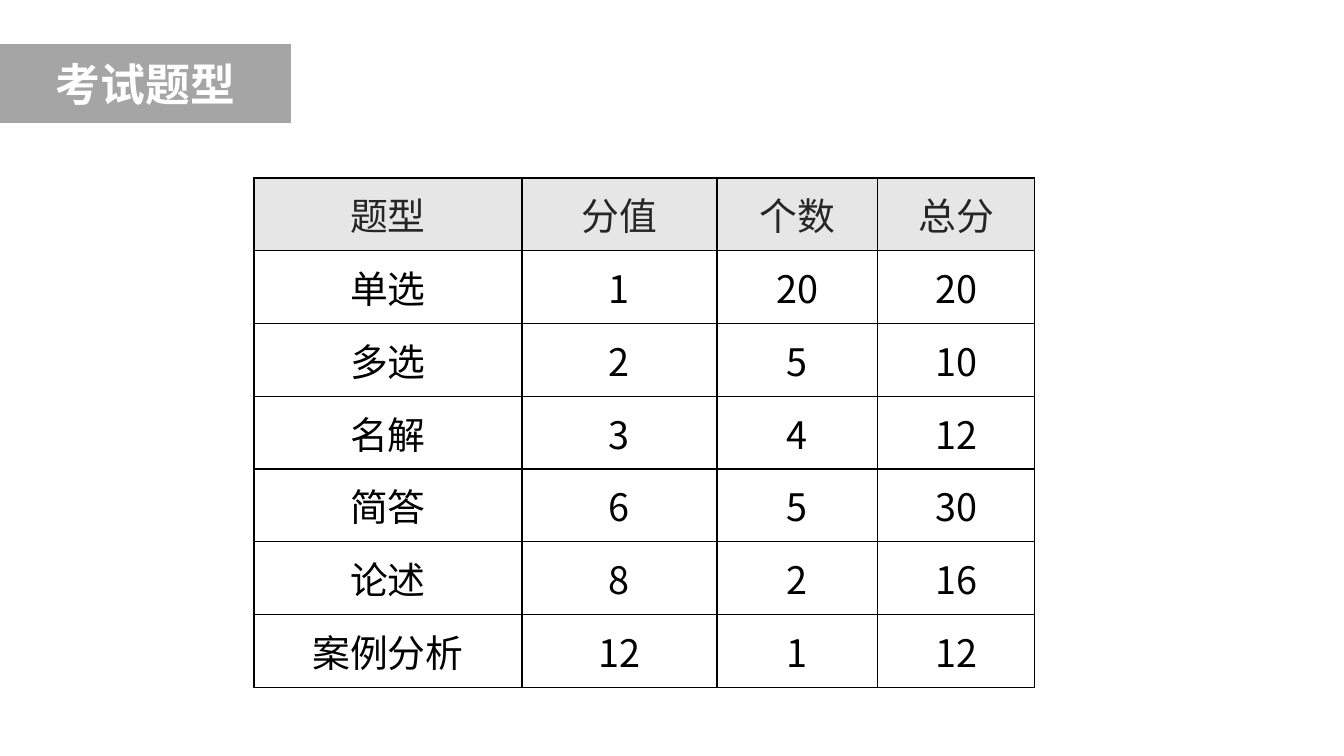
from pptx import Presentation
from pptx.dml.color import RGBColor
from pptx.enum.text import MSO_ANCHOR as Anchor, MSO_AUTO_SIZE as Fit, PP_ALIGN as Align
from pptx.oxml import parse_xml
from pptx.oxml.ns import nsdecls
from pptx.util import Emu, Pt

SCALE = 914400 / 100.8


def px(n):
    return Emu(round(n * SCALE))


def color(code):
    return RGBColor.from_string(code)


def node(tag, attrs="", inner=""):
    return parse_xml(f'<a:{tag} {nsdecls("a")} {attrs}>{inner}</a:{tag}>')


class Deck:
    head_font = "Noto Sans CJK JP"
    body_font = "Noto Sans CJK SC"
    white, black, ink = "FFFFFF", "000000", "262626"
    gray, pale = "A5A5A5", "E7E6E6"

    def __init__(self, wide, high):
        self.prs = Presentation()
        self.prs.slide_width, self.prs.slide_height = px(wide), px(high)
        self.slide = self.prs.slides.add_slide(self.prs.slide_layouts[5])

    def label(self, frame, text, face, size, tint, bold=False):
        para = frame.paragraphs[0]
        para.alignment = Align.CENTER
        run = para.add_run()
        run.text = text
        font = run.font
        font.size, font.bold, font.name = Pt(size), bold, face
        font.color.rgb = color(tint)
        run._r.get_or_add_rPr().find("{*}latin").addnext(node("ea", f'typeface="{face}"'))

    def title(self, text, left, top, width, height):
        box = self.slide.shapes.title
        box.left, box.top, box.width, box.height = map(px, (left, top, width, height))
        # Arrow-shaped outline for the title
        box._element.spPr.append(node("prstGeom", 'prst="homePlate"', "<a:avLst/>"))
        box.fill.solid()
        box.fill.fore_color.rgb = color(self.gray)
        frame = box.text_frame
        frame.word_wrap, frame.auto_size = True, Fit.NONE
        frame.vertical_anchor = Anchor.MIDDLE
        self.label(frame, text, self.head_font, 32, self.white, True)

    def border(self, cell):
        props = cell._tc.get_or_add_tcPr()
        line = f'<a:solidFill><a:srgbClr val="{self.black}"/></a:solidFill>'
        for i, side in enumerate(("lnL", "lnR", "lnT", "lnB")):
            props.insert(i, node(side, f'w="{Pt(1)}"', line))

    def table(self, rows, left, top, widths, high):
        grid = self.slide.shapes.add_table(
            len(rows), len(widths), px(left), px(top),
            px(sum(widths)), px(high * len(rows))).table
        for col, width in zip(grid.columns, widths):
            col.width = px(width)
        for r, row in enumerate(rows):
            grid.rows[r].height = px(high)
            for c, text in enumerate(row):
                cell = grid.cell(r, c)
                cell.margin_left = cell.margin_right = px(18)
                cell.margin_top = cell.margin_bottom = px(9)
                cell.fill.solid()
                cell.fill.fore_color.rgb = color(self.white if r else self.pale)
                self.border(cell)
                self.label(cell.text_frame, str(text), self.body_font, 27,
                           self.black if r else self.ink)


def main():
    deck = Deck(1344, 756)

    # Title arrow
    deck.title("考试题型", 0, 44, 291, 79)

    # Exam table: the total is points times count
    kinds = [("单选", 1, 20), ("多选", 2, 5), ("名解", 3, 4),
             ("简答", 6, 5), ("论述", 8, 2), ("案例分析", 12, 1)]
    rows = [("题型", "分值", "个数", "总分")]
    rows += [(kind, mark, count, mark * count) for kind, mark, count in kinds]
    deck.table(rows, 254, 178, (268, 195, 161, 157), 64)

    deck.prs.save("out.pptx")


if __name__ == "__main__":
    main()
